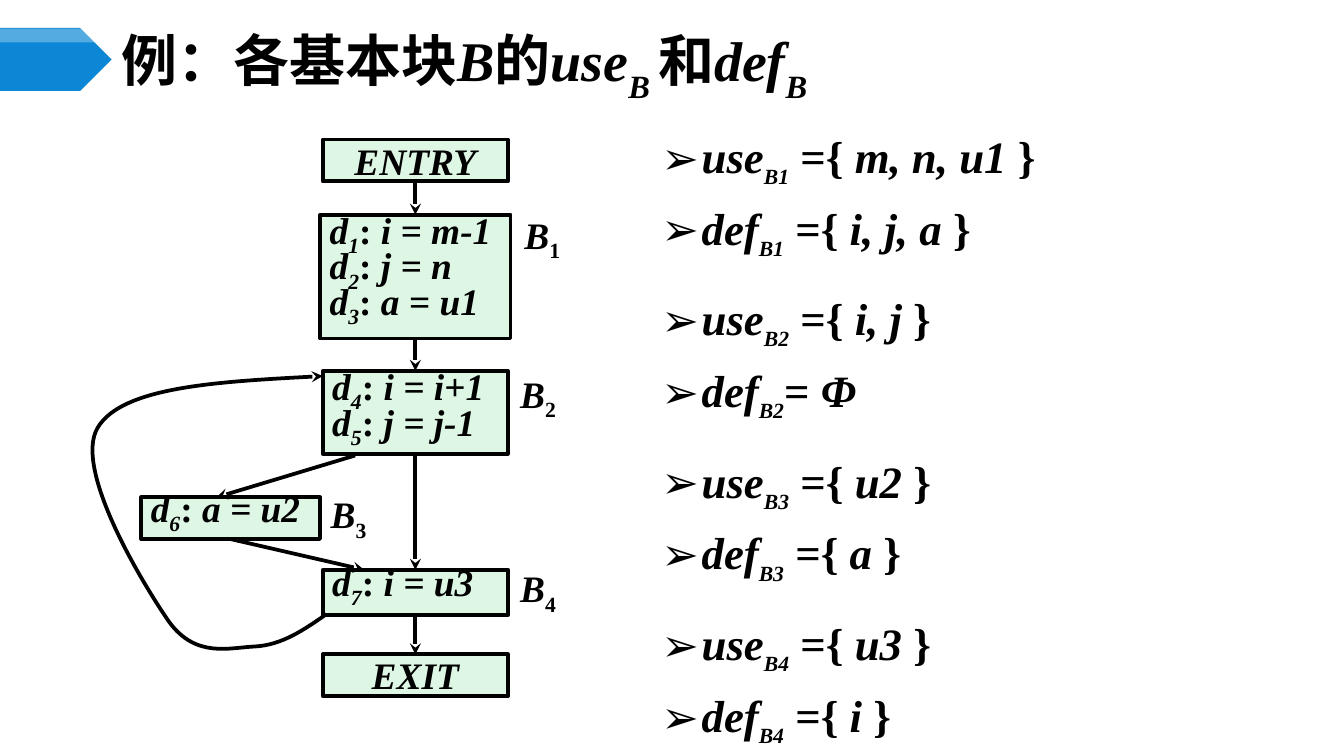
from lxml import etree
from pptx import Presentation
from pptx.dml.color import RGBColor
from pptx.enum.shapes import MSO_CONNECTOR, MSO_SHAPE
from pptx.enum.text import MSO_ANCHOR, MSO_AUTO_SIZE, PP_ALIGN as Align
from pptx.oxml.ns import qn
from pptx.util import Cm, Pt

LATIN, CJK = "Times New Roman", "Noto Sans CJK SC"
BLACK, GREEN, BLUE, WHITE = "000000", "DEF6E4", "0B87D6", "FFFFFF"
TOP, BOTTOM = 0, 2


def rgb(value):
    return RGBColor.from_string(value)


def term(name, index):
    """A symbol with a subscript; styles: i italic, s subscript, c Chinese."""
    return [(name, "i"), (index, "is")]


def statement(number, code):
    return term("d", number) + [(": ", ""), (code, "i")]


class FlowSlide:
    def __init__(self, presentation):
        self.slide = presentation.slides.add_slide(presentation.slide_layouts[1])
        self.shapes = self.slide.shapes

    # Text
    def frame(self, shape, insets, anchor=MSO_ANCHOR.TOP):
        frame = shape.text_frame
        frame.word_wrap = True
        frame.auto_size = MSO_AUTO_SIZE.NONE
        frame.vertical_anchor = anchor
        (frame.margin_left, frame.margin_top,
         frame.margin_right, frame.margin_bottom) = map(Cm, insets)
        return frame

    def add_runs(self, paragraph, runs, size=20, align=Align.JUSTIFY,
                 spacing=None, drop=-25, sub_size=None):
        paragraph.alignment = align
        paragraph.line_spacing = spacing
        font = paragraph.font
        font.size, font.bold = Pt(size), True
        font.color.rgb = rgb(BLACK)
        if not any("c" in style for _, style in runs):
            font.name = LATIN
        for text, style in runs:
            run = paragraph.add_run()
            run.text = text
            run.font.italic = "i" in style
            if font.name is None:
                run.font.name = CJK if "c" in style else LATIN
            properties = run._r.get_or_add_rPr()
            if "c" in style:
                etree.SubElement(properties, qn("a:ea"), typeface=CJK)
            if "s" in style:
                properties.set("baseline", str(drop * 1000))
                if sub_size:
                    run.font.size = Pt(sub_size)

    def place(self, shape, left, top, width, height):
        shape.left, shape.top = Cm(left), Cm(top)
        shape.width, shape.height = Cm(width), Cm(height)

    def title(self, runs, *area):
        shape = self.shapes.title
        self.place(shape, *area)
        frame = self.frame(shape, (0.18, 0.1, 0.18, 0.1), MSO_ANCHOR.MIDDLE)
        self.add_runs(frame.paragraphs[0], runs, 30, Align.LEFT, drop=-30)

    def bullets(self, groups, *area):
        shape = self.slide.placeholders[1]
        self.place(shape, *area)
        frame = self.frame(shape, (0.18, 0.1, 0.18, 0.1))
        paragraph = frame.paragraphs[0]
        for group_number, group in enumerate(groups):
            for row, runs in enumerate(group):
                first = group_number == row == 0
                if not first:
                    paragraph = frame.add_paragraph()
                paragraph.space_before = Pt(0 if first else 6.5 if row else 16.5)
                properties = paragraph._p.get_or_add_pPr()
                properties.set("marL", str(Cm(0.76)))
                properties.set("indent", str(-Cm(0.76)))
                etree.SubElement(properties, qn("a:buChar"), char="➢")
                self.add_runs(paragraph, runs, 24, Align.LEFT, Pt(32), -30, 20)

    def label(self, runs, left, top):
        shape = self.shapes.add_textbox(Cm(left), Cm(top), Cm(1.75), Cm(0.91))
        frame = self.frame(shape, (0.18, 0.1, 0.18, 0.1))
        self.add_runs(frame.paragraphs[0], runs)

    # Shapes
    def shape(self, kind, area, fill, outline=None, opacity=None):
        shape = self.shapes.add_shape(kind, *map(Cm, area))
        shape.shadow.inherit = False
        shape.fill.solid()
        shape.fill.fore_color.rgb = rgb(fill)
        if opacity:
            color = shape._element.spPr.find(".//" + qn("a:srgbClr"))
            etree.SubElement(color, qn("a:alpha"), val=str(opacity * 1000))
        if outline:
            shape.line.color.rgb = rgb(outline)
            shape.line.width = Pt(2)
        else:
            shape.line.fill.background()
        return shape

    def box(self, area, lines, insets, anchor, align=Align.JUSTIFY, spacing=Pt(19)):
        shape = self.shape(MSO_SHAPE.RECTANGLE, area, GREEN, BLACK)
        frame = self.frame(shape, insets, anchor)
        for number, runs in enumerate(lines):
            paragraph = frame.add_paragraph() if number else frame.paragraphs[0]
            self.add_runs(paragraph, runs, align=align, spacing=spacing)
        return shape

    def terminal(self, text, *area):
        return self.box(area, [[(text, "i")]], (0.18, 0.08, 0.18, 0),
                        MSO_ANCHOR.BOTTOM, Align.CENTER, 0.7)

    # Lines
    def arrow_line(self, shape):
        shape.line.color.rgb = rgb(BLACK)
        shape.line.width = Pt(2)
        outline = shape._element.spPr.find(qn("a:ln"))
        etree.SubElement(outline, qn("a:tailEnd"), type="stealth")

    def arrow(self, start=(0, 0), end=(0, 0), source=None, target=None):
        connector = self.shapes.add_connector(
            MSO_CONNECTOR.STRAIGHT, *map(Cm, (*start, *end)))
        if source:
            connector.begin_connect(source, BOTTOM)
        if target:
            connector.end_connect(target, TOP)
        self.arrow_line(connector)
        etree.SubElement(connector._element.spPr, qn("a:effectLst"))

    def curve(self, points):
        """Cubic curve: a start point, then three points per segment."""
        start, *others = [(Cm(x), Cm(y)) for x, y in points]
        builder = self.shapes.build_freeform(*start)
        builder.add_line_segments(others, close=False)
        shape = builder.convert_to_shape()
        shape.shadow.inherit = False
        shape.fill.background()
        self.arrow_line(shape)
        outline = shape._element.find(".//" + qn("a:path"))
        lines = outline.findall(qn("a:lnTo"))
        for first in range(0, len(lines), 3):
            cubic = etree.SubElement(outline, qn("a:cubicBezTo"))
            for line in lines[first:first + 3]:
                cubic.append(line[0])
                outline.remove(line)


def main():
    presentation = Presentation()
    presentation.slide_width, presentation.slide_height = Cm(25.4), Cm(14.29)
    flow = FlowSlide(presentation)

    # Title with its marker
    flow.shape(MSO_SHAPE.PENTAGON, (0, 0.53, 2.11, 1.19), BLUE)
    flow.shape(MSO_SHAPE.PENTAGON, (0, 0.54, 2.11, 0.26), WHITE, opacity=30)
    flow.title([("例：各基本块", "c"), ("B", "i"), ("的", "c"), *term("use", "B "),
                ("和", "c"), *term("def", "B")], 2.11, 0.74, 22.02, 0.99)

    # Use and def sets of each block
    sets = [("m, n, u1 ", "i, j, a "), ("i, j ", None), ("u2 ", "a "), ("u3 ", "i ")]
    groups = []
    for number, members in enumerate(sets, 1):
        groups.append([
            term(name, f"B{number}")
            + ([(" ={ ", ""), (content, "i"), ("}", "")] if content
               else [("= ", ""), ("Φ", "i")])
            for name, content in zip(("use", "def"), members)])
    flow.bullets(groups, 12.32, 2.34, 10.39, 11.2)

    # Basic blocks
    tall = (0.18, 0.15, 0.18, 0), MSO_ANCHOR.TOP
    low = (0.18, 0, 0, 0), MSO_ANCHOR.MIDDLE
    entry = flow.terminal("ENTRY", 6.1, 2.64, 3.5, 0.79)
    block1 = flow.box((6.05, 4.06, 3.6, 2.34), [
        statement("1", "i = m-1"), statement("2", "j = n"),
        statement("3", "a = u1")], *tall)
    block2 = flow.box((6.1, 7.01, 3.5, 1.57), [
        statement("4", "i = i+1"), statement("5", "j = j-1")], *tall)
    block3 = flow.box((2.67, 9.4, 3.38, 0.79), [statement("6", "a = u2")], *low)
    block4 = flow.box((6.1, 10.77, 3.5, 0.86), [statement("7", "i = u3")], *low)
    leave = flow.terminal("EXIT", 6.1, 12.37, 3.5, 0.79)

    # Block names
    corners = [(9.73, 3.91), (9.65, 6.91), (6.07, 9.19), (9.65, 10.59)]
    for number, corner in enumerate(corners, 1):
        flow.label([("B", "i"), (str(number), "s")], *corner)

    # Control flow
    chain = [entry, block1, block2, block4, leave]
    for source, target in zip(chain, chain[1:]):
        flow.arrow(source=source, target=target)
    flow.arrow((6.71, 8.61), (4.09, 9.4))
    flow.arrow(end=(6.88, 10.77), source=block3)
    flow.curve([(6.17, 11.61),
                (5.74, 11.91), (5.33, 12.19), (4.83, 12.22),
                (4.34, 12.24), (3.71, 12.45), (3.2, 11.76),
                (2.72, 11.07), (1.37, 8.86), (1.85, 8.08),
                (2.31, 7.32), (4.19, 7.21), (6.1, 7.11)])

    presentation.save("out.pptx")


if __name__ == "__main__":
    main()
